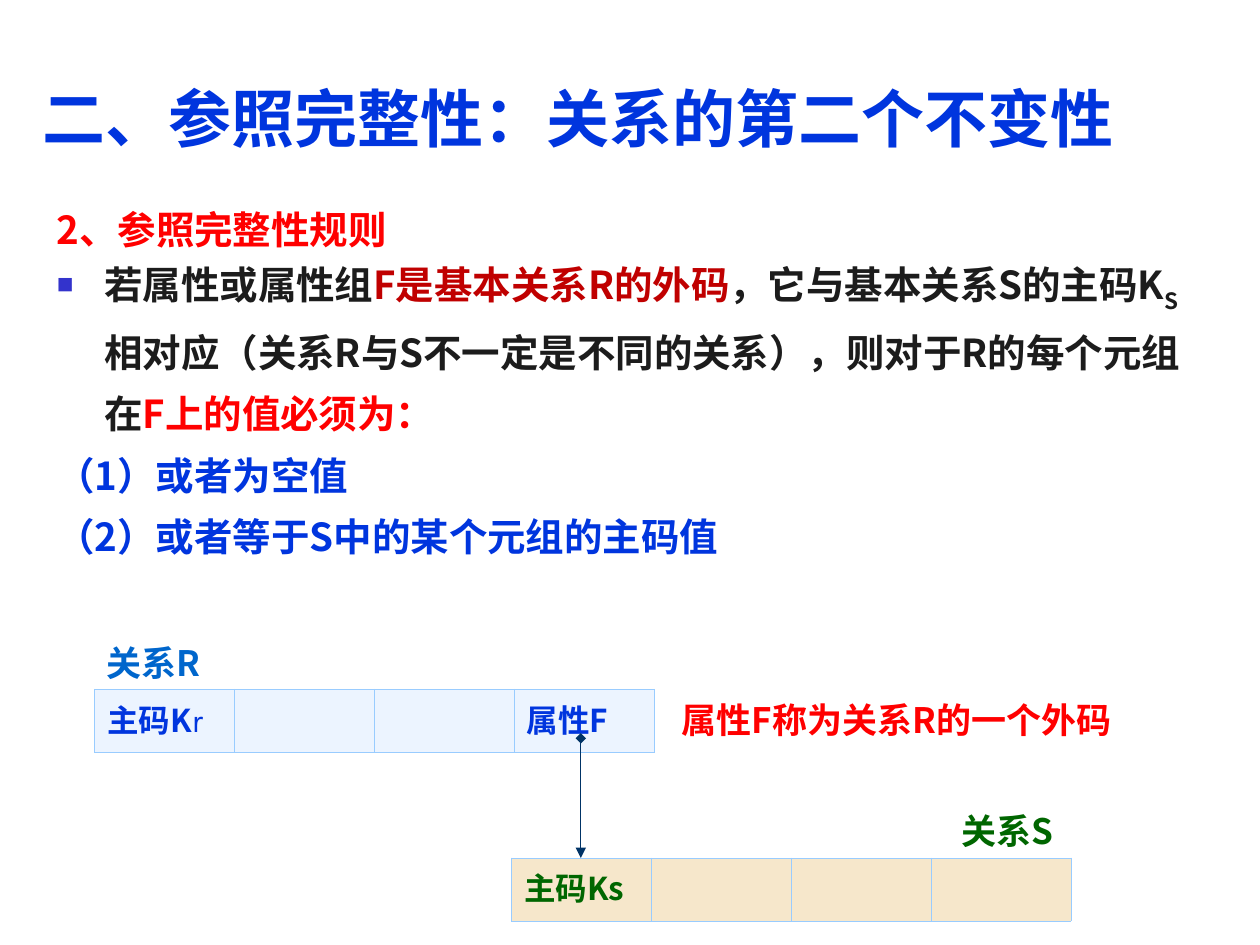
from lxml import etree
from pptx import Presentation
from pptx.dml.color import RGBColor
from pptx.enum.shapes import MSO_CONNECTOR
from pptx.enum.text import MSO_ANCHOR, PP_ALIGN
from pptx.oxml.ns import qn
from pptx.util import Inches, Pt

STRAIGHT = MSO_CONNECTOR.STRAIGHT
TOP, MIDDLE, BOTTOM = MSO_ANCHOR.TOP, MSO_ANCHOR.MIDDLE, MSO_ANCHOR.BOTTOM
LEFT, RIGHT = PP_ALIGN.LEFT, PP_ALIGN.RIGHT

BLUE = RGBColor(0x00, 0x35, 0xDE)
RED = RGBColor(0xFF, 0x00, 0x00)
DARK_RED = RGBColor(0xC0, 0x00, 0x00)
INK = RGBColor(0x1C, 0x1C, 0x1C)
GREEN = RGBColor(0x00, 0x66, 0x00)
SKY = RGBColor(0x00, 0x66, 0xCC)
NAVY = RGBColor(0x00, 0x33, 0x66)
PALE_BLUE = RGBColor(0xEC, 0xF4, 0xFF)
SAND = RGBColor(0xF6, 0xE7, 0xCB)
BULLET_COLOR = RGBColor(0x33, 0x33, 0xCC)
BORDER_COLOR = RGBColor(0x99, 0xCC, 0xFF)

FONT = "Noto Sans CJK SC"
LATIN_FONT = "Karla"


def add_element(parent, tag, **attributes):
    return etree.SubElement(parent, qn(tag), **attributes)


class SlideBuilder:
    """Holds the text style and the slide being built."""

    def __init__(self, page):
        self.page = page

    def style(self, font, size, color):
        font.name = FONT
        font.size = Pt(size)
        font.bold = True
        font.color.rgb = color
        add_element(font._rPr, "a:ea", typeface=FONT)

    def add_spans(self, para, spans, size):
        """Fill a paragraph with (text, colour) spans."""
        colors = {color for _, color in spans}
        self.style(para.font, size, spans[0][1])
        for text, color in spans:
            span = para.add_run()
            span.text = text
            if len(colors) > 1:
                span.font.color.rgb = color

    def box(self, left, top, width, height, anchor):
        frame = self.page.shapes.add_textbox(
            Inches(left), Inches(top), Inches(width), Inches(height)).text_frame
        frame.word_wrap = True
        frame.vertical_anchor = anchor
        return frame

    def label(self, text, left, top, width, height, size, color,
              anchor=BOTTOM, align=LEFT, spacing=1.0):
        para = self.box(left, top, width, height, anchor).paragraphs[0]
        para.alignment = align
        para.line_spacing = spacing
        self.add_spans(para, [(text, color)], size)

    def body(self, paragraphs, left, top, width, height):
        """Add hanging paragraphs, given as (has bullet, spans)."""
        frame = self.box(left, top, width, height, TOP)
        for index, (bulleted, spans) in enumerate(paragraphs):
            para = frame.add_paragraph() if index else frame.paragraphs[0]
            para.line_spacing = Pt(35)
            properties = para._p.get_or_add_pPr()
            properties.set("marL", str(Inches(0.38)))
            properties.set("indent", str(Inches(-0.38)))
            if bulleted:
                color = add_element(properties, "a:buClr")
                add_element(color, "a:srgbClr", val=str(BULLET_COLOR))
                add_element(properties, "a:buSzPct", val="60000")
                add_element(properties, "a:buChar", char="■")
            else:
                add_element(properties, "a:buNone")
            self.add_spans(para, spans, 22)
        return frame

    def relation(self, texts, left, top, fill, color):
        """Add a one-row table that shows the attributes of a relation."""
        table = self.page.shapes.add_table(
            1, len(texts), Inches(left), Inches(top),
            Inches(1.11 * len(texts)), Inches(0.5)).table
        table.first_row = table.horz_banding = False
        for cell, text in zip(table.iter_cells(), texts):
            for side in ("a:lnL", "a:lnR", "a:lnT", "a:lnB"):
                line = add_element(cell._tc.get_or_add_tcPr(), side, w=str(Pt(0.45)))
                solid = add_element(line, "a:solidFill")
                add_element(solid, "a:srgbClr", val=str(BORDER_COLOR))
            cell.fill.solid()
            cell.fill.fore_color.rgb = fill
            if text:
                self.add_spans(cell.text_frame.paragraphs[0], [(text, color)], 18)
        return table

    def arrow(self, x, top, bottom, color):
        connector = self.page.shapes.add_connector(
            STRAIGHT, Inches(x), Inches(top), Inches(x), Inches(bottom))
        connector.line.color.rgb = color
        connector.line.width = Pt(0.75)
        line = connector.line._get_or_add_ln()
        add_element(line, "a:headEnd", type="diamond")
        add_element(line, "a:tailEnd", type="triangle")
        add_element(connector._element.spPr, "a:effectLst")


def main():
    deck = Presentation()
    deck.slide_width, deck.slide_height = Inches(10), Inches(7.5)
    slide = SlideBuilder(deck.slides.add_slide(deck.slide_layouts[6]))

    # Title
    slide.label("二、参照完整性：关系的第二个不变性", 0.24, 0.28, 9.65, 1,
                36, BLUE, anchor=MIDDLE, spacing=1.5)

    # Rule
    rule = slide.body([
        (False, [("2、参照完整性规则", RED)]),
        (True, [("若属性或属性组", INK),
                ("F是基本关系R的外码", DARK_RED),
                ("，它与基本关系S的主码K", INK),
                ("S", INK),
                ("相对应（关系R与S不一定是不同的关系），则对于R的每个元组在", INK),
                ("F上的值必须为：", RED)]),
        (False, [("（1）或者为空值", BLUE)]),
        (False, [("（2）或者等于S中的某个元组的主码值", BLUE)]),
    ], 0.35, 1.47, 9.29, 2.76)
    subscript = rule.paragraphs[1].runs[3]
    subscript.font._rPr.set("baseline", "-25000")

    # Relations R and S
    relation_r = slide.relation(["主码K", "", "", "属性F"], 0.75, 5.47, PALE_BLUE, BLUE)
    key_suffix = relation_r.cell(0, 0).text_frame.paragraphs[0].add_run()
    key_suffix.text = "r"
    key_suffix.font.name = LATIN_FONT
    key_suffix.font.bold = False
    slide.relation(["主码Ks", "", "", ""], 4.06, 6.81, SAND, GREEN)

    # Labels and the reference from F to Ks
    slide.label("关系R", 0.75, 4.92, 1.1, 0.55, 20, SKY)
    slide.label("关系S", 7.36, 6.26, 1.1, 0.55, 20, GREEN, align=RIGHT)
    slide.arrow(4.61, 5.86, 6.81, NAVY)
    slide.label("属性F称为关系R的一个外码", 5.31, 5.38, 4.25, 0.55, 20, RED)

    deck.save("out.pptx")


if __name__ == "__main__":
    main()
